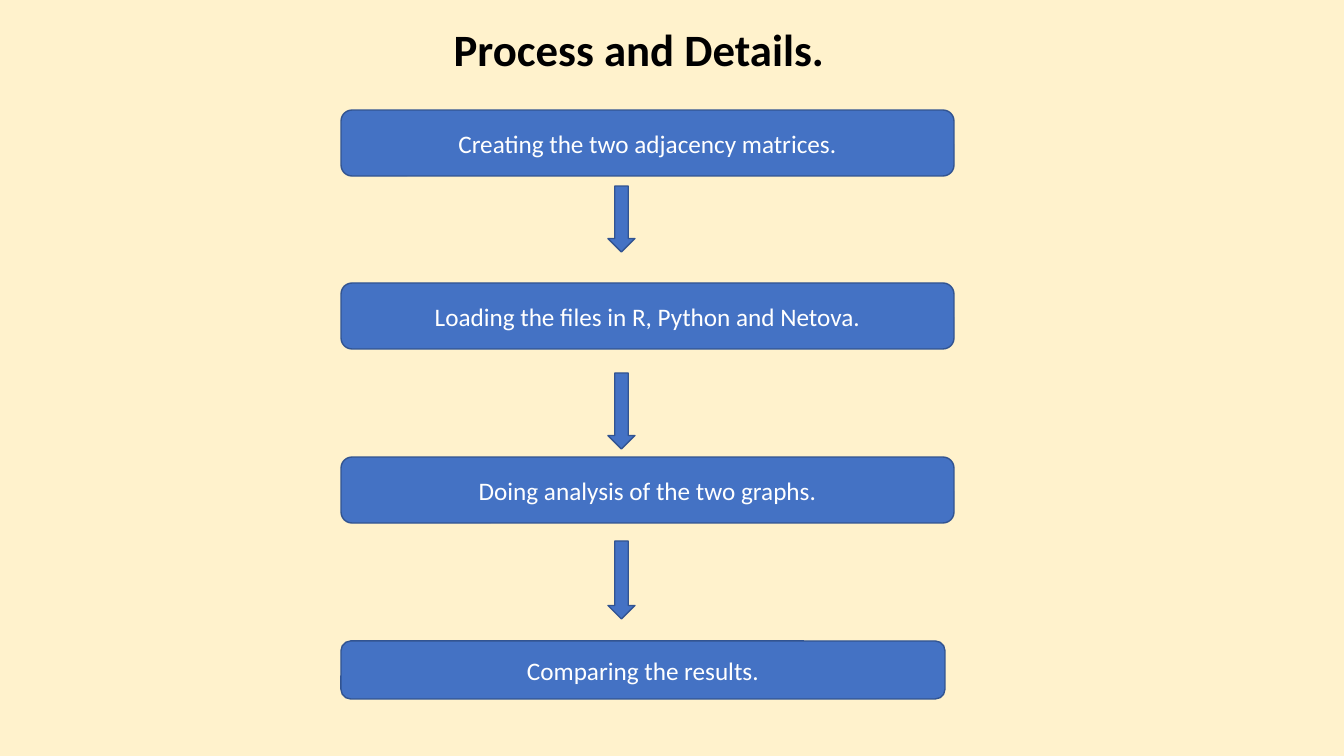
from pptx import Presentation
from pptx.dml.color import RGBColor
from pptx.enum.shapes import MSO_SHAPE
from pptx.enum.text import MSO_ANCHOR, MSO_AUTO_SIZE, PP_ALIGN
from pptx.util import Pt

PIXEL = 914400 / 100.8
CREAM = RGBColor(0xFF, 0xF2, 0xCC)
BLUE = RGBColor(0x44, 0x72, 0xC4)
NAVY = RGBColor(0x32, 0x54, 0x91)
WHITE = RGBColor(0xFF, 0xFF, 0xFF)
BLACK = RGBColor(0, 0, 0)

TITLE_FONT = {"name": "Calibri", "size": Pt(32), "bold": True}
STEP_FONT = {"name": "Calibri", "size": Pt(18), "bold": False}

# Step text, top, width, height
STEPS = [
    ("Creating the two adjacency matrices.", 0, 613, 66),
    ("Loading the files in R, Python and Netova.", 173, 613, 66),
    ("Doing analysis of the two graphs.", 347, 613, 66),
    ("Comparing the results.", 531, 604, 58),
]
# Arrow top, height
ARROWS = [(76, 66), (263, 76), (431, 78)]
ARROW_LEFT, ARROW_WIDTH = 267, 27


def emu(pixels):
    return round(pixels * PIXEL)


def write_text(shape, text, font, color):
    frame = shape.text_frame
    for name, value in {"text": text, "word_wrap": True,
                        "auto_size": MSO_AUTO_SIZE.NONE,
                        "vertical_anchor": MSO_ANCHOR.MIDDLE}.items():
        setattr(frame, name, value)
    para = frame.paragraphs[0]
    para.alignment = PP_ALIGN.CENTER
    span = para.runs[0]
    for name, value in font.items():
        setattr(span.font, name, value)
    span.font.color.rgb = color


def add_block(page, kind, left, top, width, height):
    block = page.shapes.add_shape(kind, *map(emu, (left, top, width, height)))
    block.shadow.inherit = False
    block.fill.solid()
    block.fill.fore_color.rgb = BLUE
    block.line.color.rgb = NAVY
    block.line.width = Pt(1)
    return block


def place_title(page, box):
    title = page.shapes.title
    for name, value in zip(("left", "top", "width", "height"), box):
        setattr(title, name, emu(value))
    write_text(title, "Process and Details.", TITLE_FONT, BLACK)


def draw_process(page, box):
    left, top = box[:2]
    # Steps
    for text, offset, width, height in STEPS:
        step = add_block(page, MSO_SHAPE.ROUNDED_RECTANGLE,
                         left, top + offset, width, height)
        write_text(step, text, STEP_FONT, WHITE)
    # Arrows between the steps
    for offset, height in ARROWS:
        add_block(page, MSO_SHAPE.DOWN_ARROW, left + ARROW_LEFT,
                  top + offset, ARROW_WIDTH, height)


deck = Presentation()
deck.slide_width, deck.slide_height = emu(1344), emu(756)
page = deck.slides.add_slide(deck.slide_layouts.get_by_name("Title Only"))
page.background.fill.solid()
page.background.fill.fore_color.rgb = CREAM
place_title(page, (416, 17, 446, 64))
draw_process(page, (341, 110, 613, 589))
deck.save("out.pptx")
